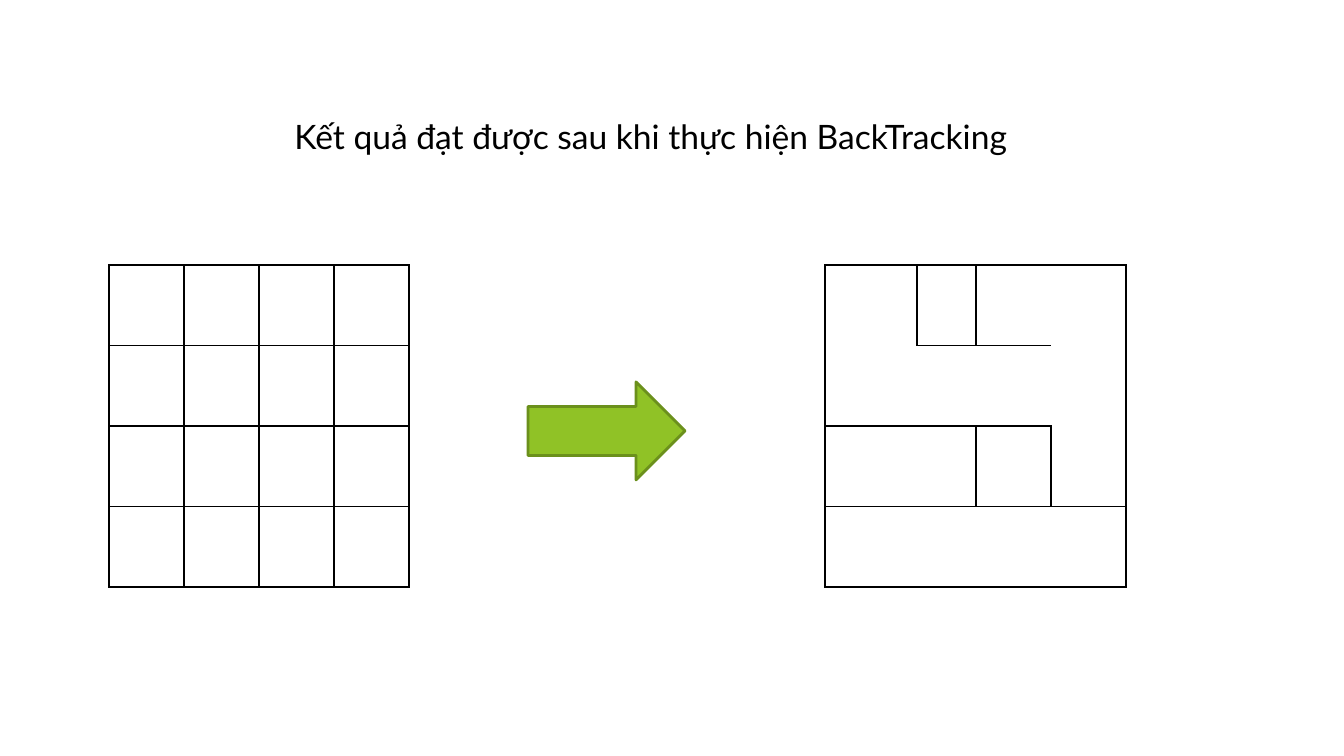
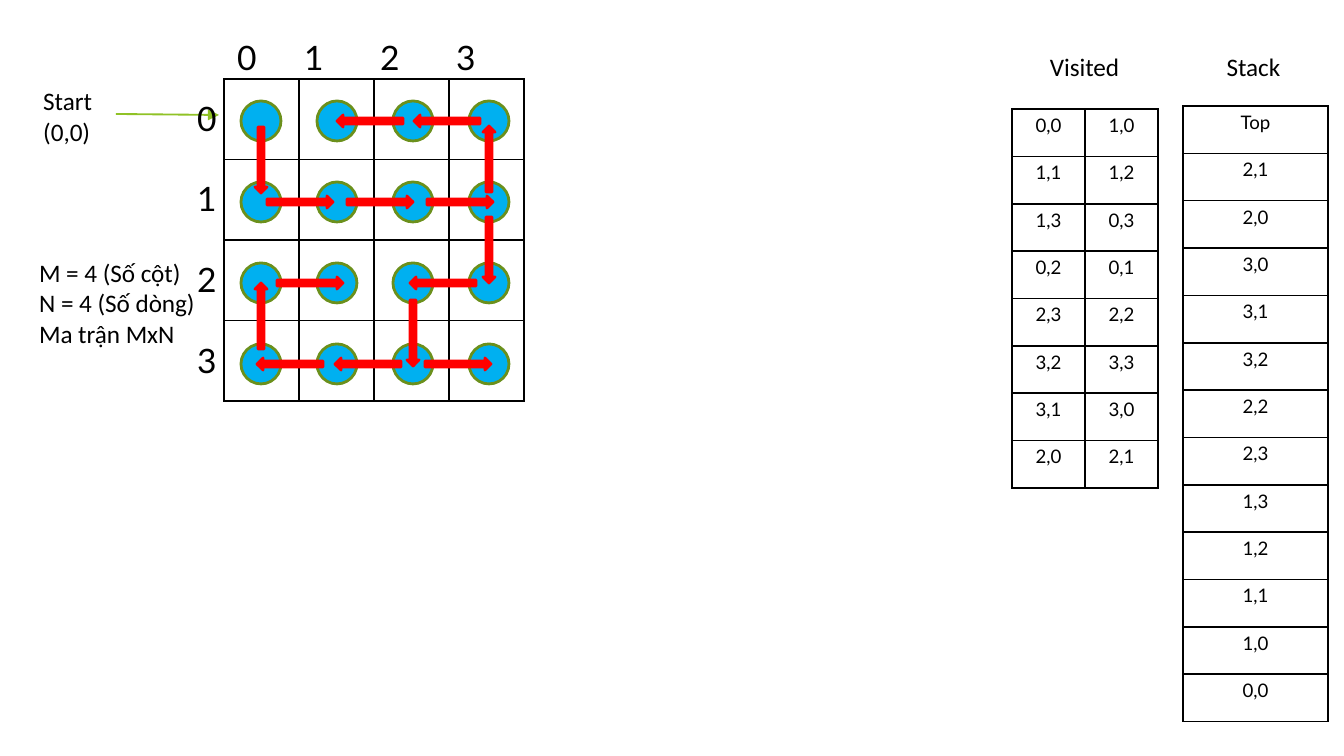
from lxml import etree
from pptx import Presentation
from pptx.dml.color import RGBColor
from pptx.enum.shapes import MSO_CONNECTOR, MSO_SHAPE
from pptx.enum.text import MSO_AUTO_SIZE, PP_ALIGN
from pptx.oxml.ns import qn
from pptx.util import Pt

ARROW, CIRCLE, RECTANGLE = MSO_SHAPE.RIGHT_ARROW, MSO_SHAPE.OVAL, MSO_SHAPE.RECTANGLE
STRAIGHT = MSO_CONNECTOR.STRAIGHT
LEFT, CENTER = PP_ALIGN.LEFT, PP_ALIGN.CENTER
GROW = MSO_AUTO_SIZE.SHAPE_TO_FIT_TEXT

PX = 9144000 / 1344  # EMU in one px, slide width 1344 px
COLORS = {"ink": "000000", "paper": "FFFFFF", "green": "90C226",
          "moss": "6B901C", "cell": "00B0F0", "step": "FF0000"}
LARGE = {"name": "Lato", "size": Pt(18)}
SMALL = {"name": "Lato", "size": Pt(10)}
NOTE = {"name": "Calibri", "size": Pt(13.5)}
PLAIN_TABLE = "{2D5ABB26-0587-4C30-8999-92F81FD0307C}"


def write_lines(frame, lines, font, align, gap=0):
    for i, line in enumerate(lines):
        paragraph = frame.paragraphs[0] if i == 0 else frame.add_paragraph()
        paragraph.alignment = align
        if gap:
            paragraph.space_after = Pt(gap)
        run = paragraph.add_run()
        run.text = line
        run.font.color.rgb = RGBColor.from_string(COLORS["ink"])
        for key, value in font.items():
            setattr(run.font, key, value)


def add_grid(slide, left, top, widths, height, rows, walls=None, texts=None):
    box = [round(v * PX) for v in (left, top, sum(widths), height)]
    table = slide.shapes.add_table(rows, len(widths), *box).table
    table.first_row = table.horz_banding = False
    table._tbl.tblPr.find(qn("a:tableStyleId")).text = PLAIN_TABLE
    for column, width in zip(table.columns, widths):
        column.width = round(width * PX)
    for r, row in enumerate(table.rows):
        row.height = round(height / rows * PX)
        for c, cell in enumerate(row.cells):
            cell.fill.solid()
            cell.fill.fore_color.rgb = RGBColor.from_string(COLORS["paper"])
            cell.margin_left = cell.margin_right = round(9 * PX)
            cell.margin_top = cell.margin_bottom = round(5 * PX)
            if texts:
                write_lines(cell.text_frame, [texts[r][c]], SMALL, CENTER)
            sides = walls[r][c] if walls else "LRTB"
            for i, side in enumerate(sides):
                border = etree.Element(qn(f"a:ln{side}"), w=str(Pt(1)))
                fill = etree.SubElement(border, qn("a:solidFill"))
                etree.SubElement(fill, qn("a:srgbClr"), val=COLORS["ink"])
                cell._tc.tcPr.insert(i, border)


prs = Presentation()
prs.slide_width, prs.slide_height = round(1344 * PX), round(756 * PX)
result, trace = [prs.slides.add_slide(prs.slide_layouts[6]) for _ in range(2)]

# Full grid and the maze carved out of it
MAZE_WALLS = [
    ["LRT", "LTB", "TB", "RT"],
    ["LB", "TB", "TB", "R"],
    ["LT", "RTB", "LT", "RB"],
    ["LB", "TB", "B", "RTB"],
]
SQUARE = [75] * 4
add_grid(result, 109, 265, SQUARE, 322, 4)
add_grid(result, 825, 265, [92, 59, 75, 75], 322, 4, MAZE_WALLS)

# Search order: cell, the cell it was reached from, arrow shift along the step
VISITS = [
    ((0, 0), None, 0), ((1, 0), (0, 0), -2), ((1, 1), (1, 0), 1), ((1, 2), (1, 1), 5),
    ((1, 3), (1, 2), 9), ((0, 3), (1, 3), 2), ((0, 2), (0, 3), 4), ((0, 1), (0, 2), 5),
    ((2, 3), (1, 3), 7), ((2, 2), (2, 3), 8), ((3, 2), (2, 2), 9), ((3, 3), (3, 2), 7),
    ((3, 1), (3, 2), 7), ((3, 0), (3, 1), 9), ((2, 0), (3, 0), 7), ((2, 1), (2, 0), 11),
]
parents = {cell: parent for cell, parent, _ in VISITS}
add_grid(trace, 224, 79, SQUARE, 322, 4)

# Preset shapes: slide, kind, box, rotation, fill, line
DIAMETER, STEP_LENGTH, STEP_WIDTH = 40, 66, 12
TURNS = {(0, 1): 0, (1, 0): 90, (0, -1): 180, (-1, 0): 270}
shapes = [(result, ARROW, (528, 382, 157, 98), 0, "green", "moss")]
for (row, col), parent, shift in VISITS:
    x, y = 261 + 76 * col, 121 + 81 * row
    circle = (x - DIAMETER / 2, y - DIAMETER / 2, DIAMETER, DIAMETER)
    shapes.append((trace, CIRCLE, circle, 0, "cell", "moss"))
    if parent:
        down, right = row - parent[0], col - parent[1]
        x += right * (shift - 38)
        y += down * (shift - 40)
        step = (x - STEP_LENGTH / 2, y - STEP_WIDTH / 2, STEP_LENGTH, STEP_WIDTH)
        shapes.append((trace, ARROW, step, TURNS[down, right], "step", "step"))
HEADINGS = {"Visited": 1012, "Stack": 1181}
for left in HEADINGS.values():
    shapes.append((trace, RECTANGLE, (left, 44, 145, 44), 0, "paper", None))

drawn = []
for slide, kind, box, turn, fill, line in shapes:
    shape = slide.shapes.add_shape(kind, *[round(v * PX) for v in box])
    shape.shadow.inherit = False
    shape.rotation = turn
    shape.fill.solid()
    shape.fill.fore_color.rgb = RGBColor.from_string(COLORS[fill])
    if line:
        shape.line.color.rgb = RGBColor.from_string(COLORS[line])
        shape.line.width = Pt(1.5)
    else:
        shape.line.fill.background()
    drawn.append(shape)
for heading, shape in zip(HEADINGS, drawn[-2:]):
    write_lines(shape.text_frame, [heading], NOTE, CENTER)

# Pointer to the start cell
ends = [round(v * PX) for v in (116, 114, 219, 115)]
pointer = trace.shapes.add_connector(STRAIGHT, *ends)
pointer.line.color.rgb = RGBColor.from_string(COLORS["green"])
pointer.line.width = Pt(1)
etree.SubElement(pointer.line._get_or_add_ln(), qn("a:tailEnd"), type="triangle")
etree.SubElement(pointer._element.spPr, qn("a:effectLst"))

# Visited cells in pairs, and the stack from its top back to the start
labels = [f"{row},{col}" for (row, col), _, _ in VISITS]
stack, cell = [["Top"]], VISITS[-1][0]
while cell:
    stack.append([f"{cell[0]},{cell[1]}"])
    cell = parents[cell]
add_grid(trace, 1183, 106, [145], 616, len(stack), texts=stack)
pairs = list(zip(labels[::2], labels[1::2]))
add_grid(trace, 1012, 109, [73, 73], 379, len(pairs), texts=pairs)

# Free text: slide, box, lines, font, alignment, wrap, gap after a line
TEXTS = [
    (result, (270, 109, 762, 54), ["Kết quả đạt được sau khi thực hiện BackTracking"],
     LARGE, CENTER, False, 0),
    (trace, (30, 79, 86, 75), ["Start", "(0,0)"], NOTE, LEFT, True, 0),
    (trace, (26, 251, 185, 105), ["M = 4 (Số cột)", "N = 4 (Số dòng)", "Ma trận MxN"],
     NOTE, LEFT, False, 0),
    (trace, (224, 30, 301, 54), ["0\t1\t2\t3"], LARGE, LEFT, True, 0),
    (trace, (184, 91, 36, 298), ["0", "1", "2", "3"], LARGE, LEFT, True, 21.6),
]
for slide, box, lines, font, align, wrap, gap in TEXTS:
    frame = slide.shapes.add_textbox(*[round(v * PX) for v in box]).text_frame
    for key, value in {"word_wrap": wrap, "auto_size": GROW}.items():
        setattr(frame, key, value)
    write_lines(frame, lines, font, align, gap)
    if "\t" in lines[0]:
        stops = etree.SubElement(frame.paragraphs[0]._p.get_or_add_pPr(), qn("a:tabLst"))
        for i in range(3):
            etree.SubElement(stops, qn("a:tab"), pos=str(round((67 + 76 * i) * PX)), algn="l")

prs.save("out.pptx")
